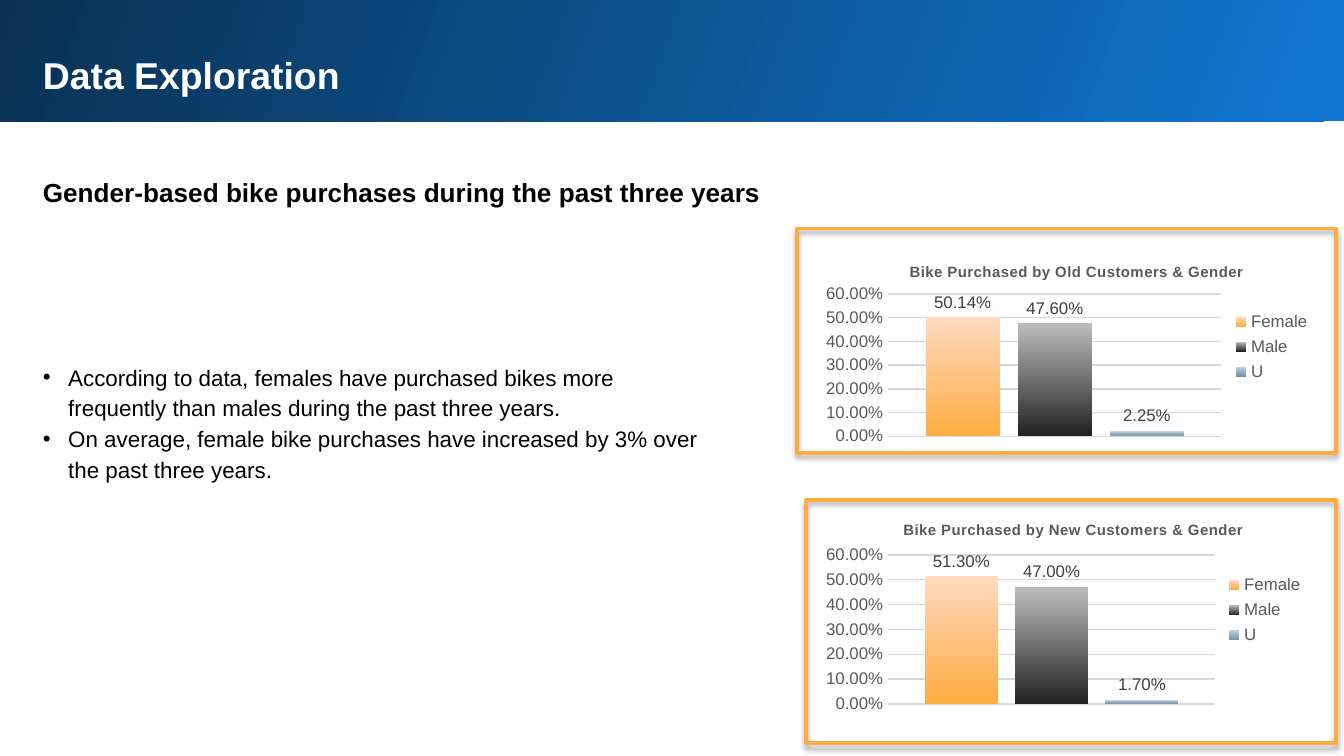
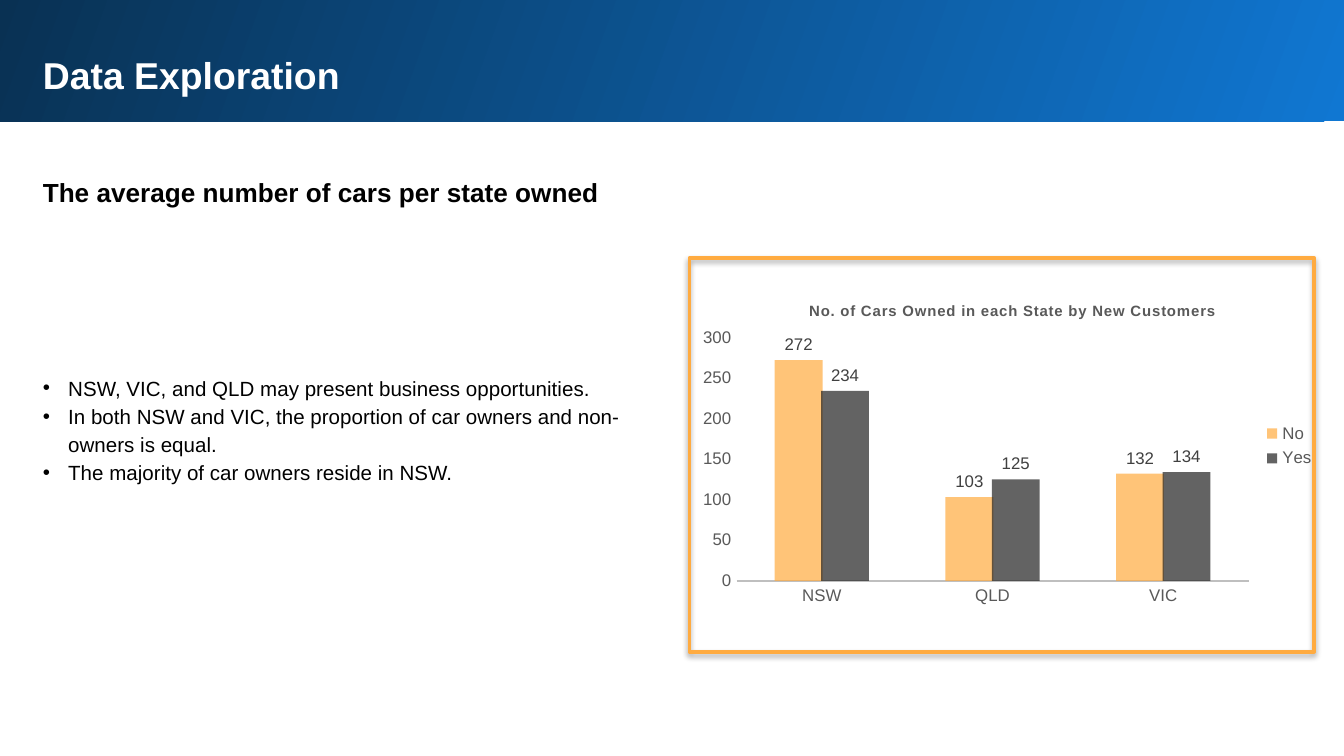
from dataclasses import dataclass

from lxml import etree
from pptx import Presentation
from pptx import util as u
from pptx.chart import data as chart_data
from pptx.dml.color import RGBColor
from pptx.enum import chart as chart_enum
from pptx.enum import shapes, text
from pptx.oxml import ns


@dataclass(frozen=True)
class Theme:
    font: str = "Arial"
    white: str = "FFFFFF"
    black: str = "000000"
    orange: str = "FFAB40"
    charcoal: str = "212121"
    axis_text: str = "595959"
    label_text: str = "404040"
    grid: str = "D9D9D9"
    axis_line: str = "BFBFBF"
    band: tuple = ("1077D2", "093153")
    gender_fills: tuple = (("FFAB40", "FFDAC0"), ("212121", "BDBDBD"), ("7392A1", "BDD5E2"))
    title_size: float = 20
    subtitle_size: float = 14
    chart_title_size: float = 8
    chart_text_size: float = 9


THEME = Theme()
PERCENT = "0.00%"
TITLE_ONLY = 5


def lengths(box):
    return [u.Cm(value) for value in box]


def add_xml(parent, tag, **attributes):
    return etree.SubElement(parent, ns.qn(tag), attributes)


def style_font(font, size, color, bold=False):
    font.name = THEME.font
    font.size = u.Pt(size)
    font.bold = bold
    font.color.rgb = RGBColor.from_string(color)


def fill_gradient(fill, colors, angle):
    """Blend two colours; the angle runs counter-clockwise from the right."""
    fill.gradient()
    fill.gradient_angle = angle
    for stop, color in zip(fill.gradient_stops, colors):
        stop.color.rgb = RGBColor.from_string(color)


def style_line(line, color, width):
    line.color.rgb = RGBColor.from_string(color)
    line.width = u.Pt(width)


def prepare_frame(frame):
    frame.word_wrap = True
    frame.auto_size = text.MSO_AUTO_SIZE.SHAPE_TO_FIT_TEXT
    frame.vertical_anchor = text.MSO_ANCHOR.TOP
    frame.margin_left = frame.margin_right = u.Cm(0.25)
    frame.margin_top = frame.margin_bottom = u.Cm(0.25)


def write_paragraph(paragraph, words, size, color, bold=False, spacing=1.15):
    paragraph.alignment = text.PP_ALIGN.LEFT
    paragraph.line_spacing = spacing
    run = paragraph.add_run()
    run.text = words
    style_font(run.font, size, color, bold)


def make_bullet(paragraph):
    properties = paragraph._p.get_or_add_pPr()
    indent = u.Cm(0.48)
    properties.set("marL", str(indent))
    properties.set("indent", str(-indent))
    add_xml(properties, "a:buFont", typeface=THEME.font)
    add_xml(properties, "a:buChar", char="•")


def add_text_box(slide, box):
    frame = slide.shapes.add_textbox(*lengths(box)).text_frame
    prepare_frame(frame)
    return frame


def add_bullets(slide, box, lines, size):
    frame = add_text_box(slide, box)
    for index, line in enumerate(lines):
        paragraph = frame.add_paragraph() if index else frame.paragraphs[0]
        write_paragraph(paragraph, line, size, THEME.black)
        make_bullet(paragraph)


def add_band(slide):
    band = slide.shapes.add_shape(
        shapes.MSO_SHAPE.RECTANGLE, *lengths((-0.05, -0.05, 25.5, 2.34)))
    band.shadow.inherit = False
    fill_gradient(band.fill, THEME.band, 160)
    band.line.fill.background()
    slide.shapes._spTree.insert(2, band._element)


def add_content_slide(presentation, subtitle):
    slide = presentation.slides.add_slide(presentation.slide_layouts[TITLE_ONLY])
    add_band(slide)
    title = slide.shapes.title
    title.left, title.top, title.width, title.height = lengths((0.56, 0.74, 23.8, 1.3))
    prepare_frame(title.text_frame)
    write_paragraph(title.text_frame.paragraphs[0], "Data Exploration",
                    THEME.title_size, THEME.white, True, 1.0)
    frame = add_text_box(slide, (0.56, 3, 23.8, 1.14))
    write_paragraph(frame.paragraphs[0], subtitle, THEME.subtitle_size, THEME.black, True)
    return slide


def add_frame(slide, box):
    frame = slide.shapes.add_shape(shapes.MSO_SHAPE.RECTANGLE, *lengths(box))
    frame.shadow.inherit = False
    frame.fill.background()
    style_line(frame.line, THEME.orange, 2)
    effects = frame._element.spPr.find(ns.qn("a:effectLst"))
    shadow = add_xml(effects, "a:outerShdw", blurRad=str(u.Pt(3)), dist=str(u.Pt(1.8)),
                     dir="5400000", rotWithShape="0")
    add_xml(add_xml(shadow, "a:srgbClr", val=THEME.black), "a:alpha", val="35000")


def place_part(part, chart_box, position):
    """Fix a chart part at a slide position: (left, top) or (left, top, width, height)."""
    layout = part.find(ns.qn("c:layout"))
    if layout is None:
        layout = etree.Element(ns.qn("c:layout"))
        part.insert(0, layout)
    manual = add_xml(layout, "c:manualLayout")
    left, top, width, height = chart_box
    if len(position) == 4:
        add_xml(manual, "c:layoutTarget", val="inner")
    for mode in ("c:xMode", "c:yMode"):
        add_xml(manual, mode, val="edge")
    fractions = [(position[0] - left) / width, (position[1] - top) / height]
    fractions += [side / whole for side, whole in zip(position[2:], (width, height))]
    for name, fraction in zip("xywh", fractions):
        add_xml(manual, f"c:{name}", val=f"{fraction:.4f}")


def add_column_chart(slide, box, plot_box, title, title_at, categories, values,
                     number_format, gap, overlap, top_value, step, tracking):
    data = chart_data.CategoryChartData(number_format=number_format)
    data.categories = categories
    for name, numbers in values.items():
        data.add_series(name, numbers)
    chart = slide.shapes.add_chart(
        chart_enum.XL_CHART_TYPE.COLUMN_CLUSTERED, *lengths(box), data).chart
    style_font(chart.font, 10, THEME.black)

    run = chart.chart_title.text_frame.paragraphs[0].add_run()
    run.text = title
    style_font(run.font, THEME.chart_title_size, THEME.axis_text, True)
    run.font._element.set("spc", str(tracking))
    chart_space = chart._chartSpace
    place_part(chart_space.find(".//" + ns.qn("c:title")), box, title_at)
    place_part(chart_space.find(".//" + ns.qn("c:plotArea")), box, plot_box)

    chart.has_legend = True
    chart.legend.position = chart_enum.XL_LEGEND_POSITION.RIGHT
    chart.legend.include_in_layout = False
    style_font(chart.legend.font, THEME.chart_text_size, THEME.axis_text)

    for axis in (chart.category_axis, chart.value_axis):
        axis.major_tick_mark = axis.minor_tick_mark = chart_enum.XL_TICK_MARK.NONE
        axis.has_major_gridlines = False
        style_font(axis.tick_labels.font, THEME.chart_text_size, THEME.axis_text)
    axis = chart.value_axis
    axis.minimum_scale, axis.maximum_scale, axis.major_unit = 0, top_value, step
    axis.format.line.fill.background()
    axis.tick_labels.number_format = number_format
    axis.tick_labels.number_format_is_linked = False

    plot = chart.plots[0]
    plot.vary_by_categories = False
    plot.gap_width, plot.overlap = gap, overlap
    for series in plot.series:
        labels = series.data_labels
        labels.show_value = True
        labels.position = chart_enum.XL_LABEL_POSITION.OUTSIDE_END
        labels.number_format = number_format
        labels.number_format_is_linked = False
        style_font(labels.font, THEME.chart_text_size, THEME.label_text)
    return chart


def add_gender_chart(slide, box, plot_box, title, title_at, shares):
    values = {name: [share] for name, share in zip(("Female", "Male", "U"), shares)}
    chart = add_column_chart(slide, box, plot_box, title, title_at, ["1"], values,
                             PERCENT, 100, -24, 0.6, 0.1, 10)
    chart.category_axis.visible = False
    chart.value_axis.has_major_gridlines = True
    style_line(chart.value_axis.major_gridlines.format.line, THEME.grid, 0.75)
    for series, colors in zip(chart.plots[0].series, THEME.gender_fills):
        fill_gradient(series.format.fill, colors, 90)


def add_cars_chart(slide):
    chart = add_column_chart(
        slide, (13.03, 5.28, 12.07, 6.3), (13.92, 6.38, 9.68, 4.6),
        "No. of Cars Owned in each State by New Customers", (15.24, 5.64),
        ["NSW", "QLD", "VIC"], {"No": [272, 103, 132], "Yes": [234, 125, 134]},
        "General", 160, 3, 300, 50, 30)
    style_line(chart.category_axis.format.line, THEME.axis_line, 1.25)
    for series, color in zip(chart.plots[0].series, (THEME.orange, THEME.charcoal)):
        fill = series.format.fill
        fill.solid()
        fill.fore_color.rgb = RGBColor.from_string(color)
        solid = series._element.find(f"{ns.qn('c:spPr')}/{ns.qn('a:solidFill')}")
        add_xml(solid[0], "a:alpha", val="70000")


def build_gender_slide(presentation):
    slide = add_content_slide(
        presentation, "Gender-based bike purchases during the past three years")
    add_bullets(slide, (0.56, 6.55, 12.98, 2.82), [
        "According to data, females have purchased bikes more frequently than males "
        "during the past three years.",
        "On average, female bike purchases have increased by 3% over the past three years.",
    ], 12)
    add_gender_chart(slide, (15.42, 9.45, 9.47, 4.17), (16.79, 10.49, 6.17, 2.82),
                     "Bike Purchased by New Customers & Gender", (17.02, 9.78),
                     (0.513, 0.47, 0.017))
    add_frame(slide, (15.24, 9.45, 10.01, 4.6))
    add_gender_chart(slide, (15.42, 4.6, 9.6, 3.91), (16.79, 5.56, 6.29, 2.69),
                     "Bike Purchased by Old Customers & Gender", (17.14, 4.9),
                     (0.5014, 0.476, 0.0225))
    add_frame(slide, (15.06, 4.32, 10.19, 4.24))


def build_cars_slide(presentation):
    slide = add_content_slide(presentation, "The average number of cars per state owned")
    add_bullets(slide, (0.56, 6.78, 11.81, 2.64), [
        "NSW, VIC, and QLD may present business opportunities.",
        "In both NSW and VIC, the proportion of car owners and non-owners is equal.",
        "The majority of car owners reside in NSW.",
    ], 11)
    add_cars_chart(slide)
    add_frame(slide, (13.03, 4.88, 11.81, 7.44))


def main():
    presentation = Presentation()
    presentation.slide_width, presentation.slide_height = lengths((25.4, 14.29))
    build_gender_slide(presentation)
    build_cars_slide(presentation)
    presentation.save("out.pptx")


if __name__ == "__main__":
    main()
